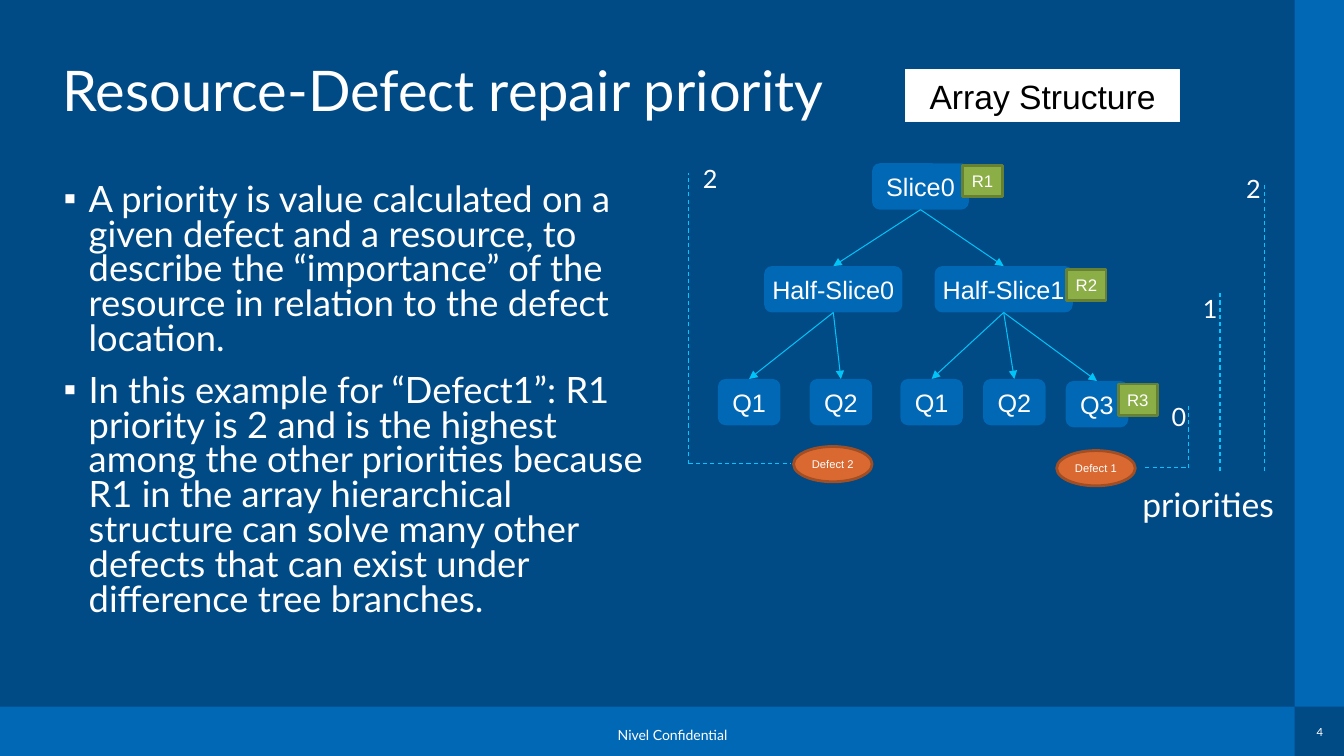
from dataclasses import dataclass

from lxml.etree import SubElement
from pptx import Presentation
from pptx.dml.color import RGBColor
from pptx.enum.dml import MSO_LINE_DASH_STYLE as DASH
from pptx.enum.shapes import MSO_CONNECTOR, MSO_SHAPE as SHAPE
from pptx.enum.text import MSO_ANCHOR as ANCHOR, MSO_AUTO_SIZE as FIT, PP_ALIGN as ALIGN
from pptx.oxml.ns import qn
from pptx.util import Emu, Pt


@dataclass(frozen=True)
class Theme:
    background: str = "004A86"
    blue: str = "0068B5"
    white: str = "FFFFFF"
    black: str = "000000"
    caption_edge: str = "F9F9F9"
    arrow: str = "00C3F7"
    dash: str = "00C7FD"
    resource: str = "8BAE46"
    resource_edge: str = "678134"
    defect: str = "D96930"
    defect_edge: str = "A14E24"
    text_font: str = "Lato"
    diagram_font: str = "Arial"
    title_size: float = 40
    body_size: float = 25.9
    heading_size: float = 24
    node_size: float = 18
    badge_size: float = 12
    footer_size: float = 10
    small_size: float = 8
    thin: float = 0.75
    edge: float = 2


THEME = Theme()
EMU_PER_PX = 9144  # 100 px to the inch
NODE_HEIGHT = 46

# key: (label, left, top, width)
NODES = {
    "slice": ("Slice0", 865, 162, 96),
    "half0": ("Half-Slice0", 758, 264, 137),
    "half1": ("Half-Slice1", 927, 264, 137),
    "half0_q1": ("Q1", 712, 376, 62),
    "half0_q2": ("Q2", 803, 376, 62),
    "half1_q1": ("Q1", 893, 376, 62),
    "half1_q2": ("Q2", 975, 376, 62),
    "half1_q3": ("Q3", 1057, 378, 62),
}
CHILDREN = {
    "slice": ["half0", "half1"],
    "half0": ["half0_q1", "half0_q2"],
    "half1": ["half1_q1", "half1_q2", "half1_q3"],
}
RESOURCES = [("R1", 955, 164), ("R2", 1058, 267), ("R3", 1109, 381)]
DEFECTS = [("Defect 1", 1048, 447), ("Defect 2", 787, 443)]
PRIORITY_LINES = [
    (1136, 464, 1179, 464),
    (1179, 464, 1179, 401),
    (1210, 467, 1210, 291),
    (1254, 467, 1254, 183),
    (683, 460, 683, 172),
    (683, 460, 785, 460),
]
PRIORITIES = [("0", 1162, 398), ("1", 1193, 291), ("2", 1236, 172), ("2", 697, 162)]
BULLETS = [
    "A priority is value calculated on a given defect and a resource, to describe "
    "the “importance” of the resource in relation to the defect location.",
    "In this example for “Defect1”: R1 priority is 2 and is the highest among the "
    "other priorities because R1 in the array hierarchical structure can solve many "
    "other defects that can exist under difference tree branches.",
]


def px(*lengths):
    return [Emu(length * EMU_PER_PX) for length in lengths]


def rgb(colour):
    return RGBColor.from_string(colour)


def style_font(paragraph, font_name, size, colour):
    for run in paragraph.runs:
        run.font.name = font_name
        run.font.size = Pt(size)
        run.font.color.rgb = rgb(colour)


def set_insets(frame, inset):
    frame.margin_left, frame.margin_top, frame.margin_right, frame.margin_bottom = px(*[inset] * 4)


def add_block(slide, kind, box, fill, edge=None, edge_width=THEME.edge):
    block = slide.shapes.add_shape(kind, *px(*box))
    block.shadow.inherit = False
    block.fill.solid()
    block.fill.fore_color.rgb = rgb(fill)
    if edge:
        block.line.color.rgb = rgb(edge)
        block.line.width = Pt(edge_width)
    else:
        block.line.fill.background()
    return block


def add_label(block, label, size, colour=THEME.white):
    frame = block.text_frame
    frame.text = label
    frame.word_wrap = False
    frame.vertical_anchor = ANCHOR.MIDDLE
    set_insets(frame, 6)
    frame.paragraphs[0].alignment = ALIGN.CENTER
    style_font(frame.paragraphs[0], THEME.diagram_font, size, colour)


def add_text(slide, text, box, size, align=ALIGN.LEFT, spacing=1.0, wrap=False):
    frame = slide.shapes.add_textbox(*px(*box)).text_frame
    frame.text = text
    frame.word_wrap = wrap
    frame.auto_size = FIT.NONE if wrap else FIT.SHAPE_TO_FIT_TEXT
    set_insets(frame, 0)
    for paragraph in frame.paragraphs:
        paragraph.alignment = align
        paragraph.line_spacing = spacing
        style_font(paragraph, THEME.text_font, size, THEME.white)
    return frame


def add_bullets(slide, items, box):
    frame = add_text(slide, "\n".join(items), box, THEME.body_size, spacing=0.8, wrap=True)
    indent = px(25)[0]
    for index, paragraph in enumerate(frame.paragraphs):
        if index:
            paragraph.space_before = Pt(12)
        properties = paragraph._p.get_or_add_pPr()
        properties.set("marL", str(indent))
        properties.set("indent", str(-indent))
        SubElement(properties, qn("a:buFont"), typeface=THEME.diagram_font)
        SubElement(properties, qn("a:buChar"), char="▪")


def add_line(slide, ends, colour):
    line = slide.shapes.add_connector(MSO_CONNECTOR.STRAIGHT, *px(*ends))
    line.line.color.rgb = rgb(colour)
    line.line.width = Pt(THEME.thin)
    SubElement(line._element.spPr, qn("a:effectLst"))
    return line


def add_branch(slide, parent, child):
    """Draw an arrow from the bottom of the parent to the top of the child."""
    branch = add_line(slide, (0, 0, 0, 0), THEME.arrow)
    branch.begin_connect(parent, 2)
    branch.end_connect(child, 0)
    SubElement(branch.line._get_or_add_ln(), qn("a:tailEnd"), type="triangle")


def add_frame(slide):
    """Draw the bars at the bottom and right edges with their text."""
    add_block(slide, SHAPE.RECTANGLE, (0, 701, 1284, 49), THEME.blue)
    add_block(slide, SHAPE.RECTANGLE, (1284, 0, 49, 701), THEME.blue)
    add_text(slide, "Nivel Confidential", (612, 723, 110, 15), THEME.footer_size, ALIGN.CENTER, 0.9)
    add_text(slide, "4", (1302, 720, 14, 13), THEME.small_size, ALIGN.CENTER)


def add_tree(slide):
    nodes = {}
    for key, (label, left, top, width) in NODES.items():
        nodes[key] = add_block(
            slide, SHAPE.ROUNDED_RECTANGLE, (left, top, width, NODE_HEIGHT), THEME.blue)
        add_label(nodes[key], label, THEME.node_size)
    for parent, children in CHILDREN.items():
        for child in children:
            add_branch(slide, nodes[parent], nodes[child])
    for label, left, top in RESOURCES:
        badge = add_block(
            slide, SHAPE.RECTANGLE, (left, top, 39, 31), THEME.resource, THEME.resource_edge)
        add_label(badge, label, THEME.badge_size)
    for label, left, top in DEFECTS:
        defect = add_block(
            slide, SHAPE.OVAL, (left, top, 78, 35), THEME.defect, THEME.defect_edge)
        add_label(defect, label, THEME.small_size)


def add_priorities(slide):
    for ends in PRIORITY_LINES:
        add_line(slide, ends, THEME.dash).line.dash_style = DASH.DASH
    for value, left, top in PRIORITIES:
        add_text(slide, value, (left, top, 15, 30), THEME.node_size)
    add_text(slide, "priorities", (1133, 480, 135, 40), THEME.heading_size)


def main():
    presentation = Presentation()
    presentation.slide_width, presentation.slide_height = px(1333, 750)
    slide = presentation.slides.add_slide(presentation.slide_layouts[6])
    slide.background.fill.solid()
    slide.background.fill.fore_color.rgb = rgb(THEME.background)
    add_frame(slide)
    add_text(slide, "Resource-Defect repair priority", (62, 63, 1204, 104),
             THEME.title_size, spacing=0.9, wrap=True)
    add_bullets(slide, BULLETS, (63, 183, 581, 436))
    add_tree(slide)
    caption = add_block(slide, SHAPE.RECTANGLE, (898, 69, 272, 52),
                        THEME.white, THEME.caption_edge, THEME.thin)
    add_label(caption, "Array Structure", THEME.heading_size, THEME.black)
    add_priorities(slide)
    presentation.save("out.pptx")


if __name__ == "__main__":
    main()
